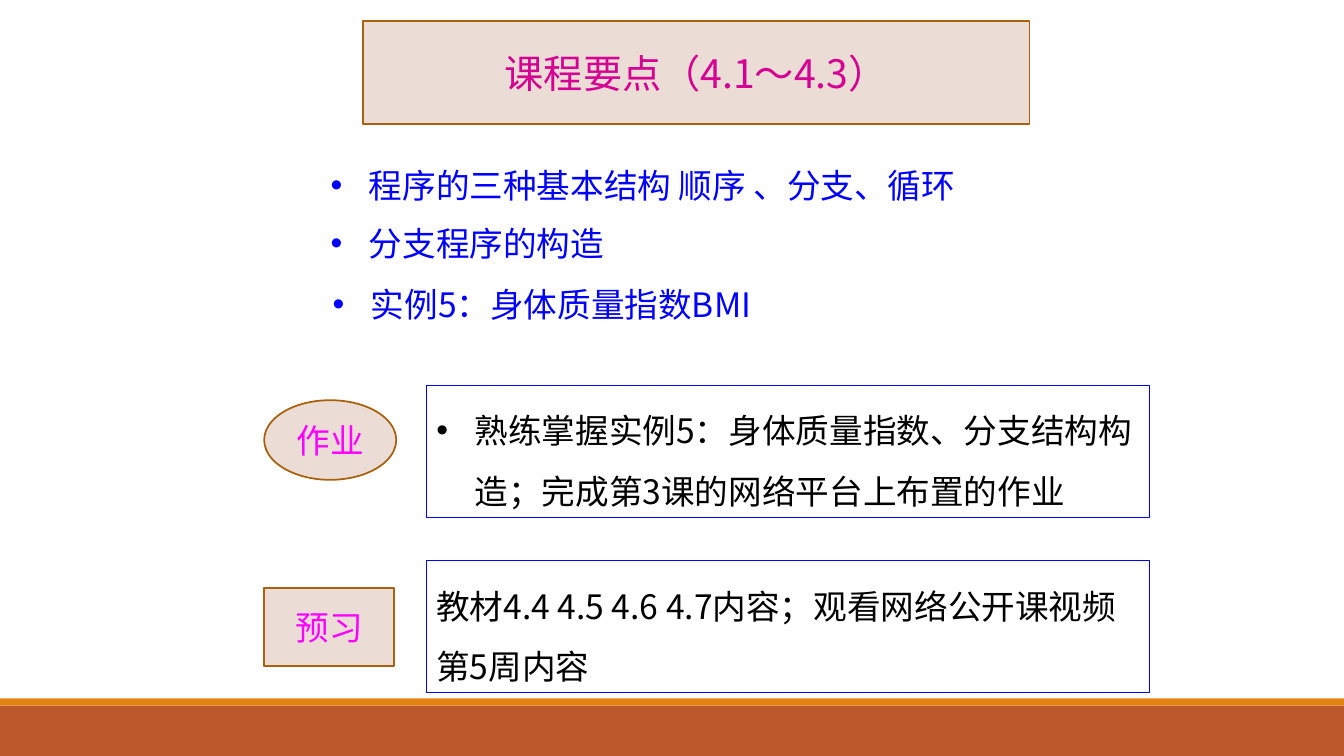
from lxml import etree
from pptx import Presentation
from pptx.dml.color import RGBColor
from pptx.enum.shapes import MSO_SHAPE
from pptx.enum.text import MSO_ANCHOR, PP_ALIGN
from pptx.oxml import parse_xml
from pptx.oxml.ns import nsdecls, qn
from pptx.util import Inches, Pt

RECT, OVAL = MSO_SHAPE.RECTANGLE, MSO_SHAPE.OVAL
MIDDLE, TOP = MSO_ANCHOR.MIDDLE, MSO_ANCHOR.TOP
CENTER, LEFT = PP_ALIGN.CENTER, PP_ALIGN.LEFT

FONT = "Noto Sans CJK SC"
BLUE, MAGENTA, PINK, BROWN = "0000FF", "FF00FF", "EBDCD5", "A9610D"
INDENT = 0.38

TITLE = "课程要点（4.1～4.3）"
POINTS = [  # left, top, text
    (3.18, 1.39, "程序的三种基本结构 顺序 、分支、循环"),
    (3.18, 1.96, "分支程序的构造"),
    (3.2, 2.57, "实例5：身体质量指数BMI"),
]
TASKS = [  # label, label shape, label box, task top, task, bulleted
    ("作业", OVAL, (2.62, 3.97, 1.31, 0.79), 3.82,
     "熟练掌握实例5：身体质量指数、分支结构构造；完成第3课的网络平台上布置的作业", True),
    ("预习", RECT, (2.62, 5.83, 1.29, 0.78), 5.56,
     "教材4.4 4.5 4.6 4.7内容；观看网络公开课视频 第5周内容", False),
]
BARS = [(7, 0.5, "BD582C"), (6.93, 0.07, "E48312")]  # top, height, colour


def rgb(color):
    return RGBColor.from_string(color)


def box(*lengths):
    return [Inches(v) for v in lengths]


def style(sp, fill=None, line=None, width=1.25):
    if fill:
        sp.fill.solid()
        sp.fill.fore_color.rgb = rgb(fill)
    else:
        sp.fill.background()
    if line:
        sp.line.color.rgb = rgb(line)
        sp.line.width = Pt(width)
    else:
        sp.line.fill.background()


def add_shape(s, kind, lengths, **look):
    sp = s.shapes.add_shape(kind, *box(*lengths))
    sp.shadow.inherit = False
    style(sp, **look)
    return sp


def write(sp, text, size=24, color="000000", align=LEFT, anchor=TOP,
          spacing=1.0, bullet=False):
    tf = sp.text_frame
    tf.word_wrap = True
    tf.vertical_anchor = anchor
    tf.margin_left = tf.margin_right = Inches(0.1)
    tf.margin_top = tf.margin_bottom = Inches(0.05)
    p = tf.paragraphs[0]
    p.alignment = align
    p.line_spacing = spacing
    p.space_before = Pt(0)
    if bullet:
        pPr = p._p.get_or_add_pPr()
        pPr.set("marL", str(Inches(INDENT)))
        pPr.set("indent", str(-Inches(INDENT)))
        etree.SubElement(pPr, qn("a:buFont")).set("typeface", "Arial")
        etree.SubElement(pPr, qn("a:buChar")).set("char", "•")
    r = p.add_run()
    r.text = text
    r.font.size = Pt(size)
    r.font.color.rgb = rgb(color)
    r.font.name = FONT
    etree.SubElement(r._r.get_or_add_rPr(), qn("a:ea")).set("typeface", FONT)


def add_ribbon_title(s):
    """Give the title placeholder the outline of a ribbon."""
    title = s.shapes.title
    title.left, title.top, title.width, title.height = box(3.6, 0.21, 6.61, 1.02)
    title._element.spPr.append(parse_xml(
        f'<a:prstGeom {nsdecls("a")} prst="ribbon2"><a:avLst>'
        '<a:gd name="adj1" fmla="val 16667"/><a:gd name="adj2" fmla="val 75000"/>'
        '</a:avLst></a:prstGeom>'))
    style(title, fill=PINK, line=BROWN)
    write(title, TITLE, size=28, color="D60093", align=CENTER, anchor=MIDDLE)


def main():
    prs = Presentation()
    prs.slide_width, prs.slide_height = box(13.33, 7.5)
    s = prs.slides.add_slide(prs.slide_layouts[5])
    s.background.fill.solid()
    s.background.fill.fore_color.rgb = rgb("FFFFFF")

    for top, height, color in BARS:
        add_shape(s, RECT, (0, top, 13.33, height), fill=color)
    add_ribbon_title(s)
    for left, top, text in POINTS:
        write(s.shapes.add_textbox(*box(left, top, 8.03, 0.71)), text,
              color=BLUE, spacing=1.5, bullet=True)
    for label, kind, label_box, top, task, bullet in TASKS:
        write(add_shape(s, kind, label_box, fill=PINK, line=BROWN), label,
              color=MAGENTA, align=CENTER, anchor=MIDDLE)
        write(add_shape(s, RECT, (4.23, top, 7.17, 1.31), line=BLUE, width=0.75),
              task, spacing=1.5, bullet=bullet)
    prs.save("out.pptx")


if __name__ == "__main__":
    main()
